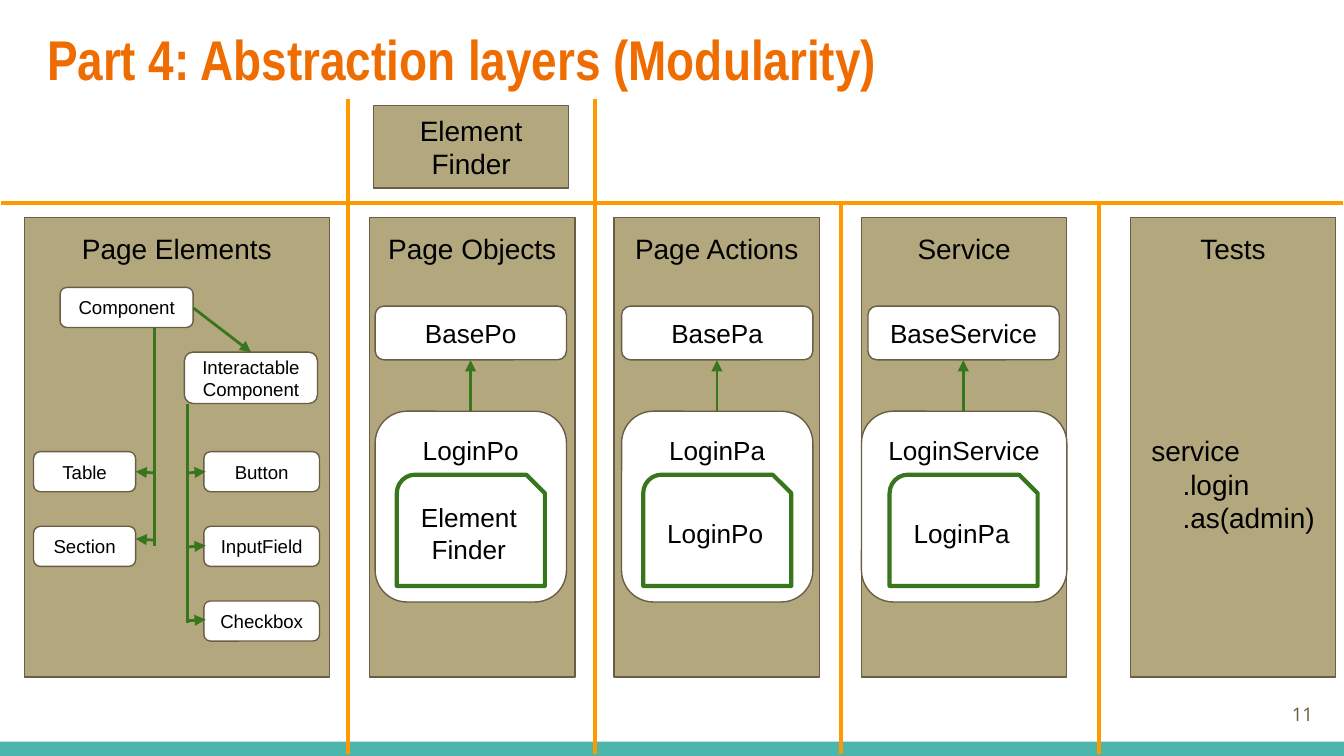
from pptx import Presentation
from pptx.dml.color import RGBColor
from pptx.enum import shapes, text
from pptx.oxml.ns import qn
from pptx.util import Pt
from lxml import etree

HUE = {"title": "EF6C00", "band": "4DB6AC", "panel": "B3A77D", "edge": "695D46",
       "box": "FFFFFF", "arrow": "38761D", "rule": "FF9900", "ink": "000000"}
KIND = shapes.MSO_SHAPE
ALIGN = text.PP_ALIGN
TOP, MID = text.MSO_ANCHOR.TOP, text.MSO_ANCHOR.MIDDLE

# Content: panels as (name, left, width)
TITLE = "Part 4: Abstraction layers (Modularity)"
PAGE = "11"
PANELS = [("Page Elements", 13, 163.5), ("Page Objects", 198, 110),
          ("Page Actions", 329, 110), ("Service", 461.5, 110), ("Tests", 605.5, 110)]
# Layers as (base class, login class, what it wraps, login left, login width)
LAYERS = [("BasePo", "LoginPo", "Element\vFinder", 201, 102.5),
          ("BasePa", "LoginPa", "LoginPo", 333, 102.5),
          ("BaseService", "LoginService", "LoginPa", 461.5, 110)]
PARENTS = [("Component", 32.2, 154, 71.3, 21.5),
           ("Interactable\vComponent", 98.8, 188.7, 71.3, 27.5)]
# Children as (names, left, width, stem x, arrow tip x, arrow step)
KIDS = [(["Table", "Section"], 18, 54.7, 82.6, 72.7, 36),
        (["Button", "InputField", "Checkbox"], 109.2, 62, 100.5, 110.2, 39.6)]
STEMS = [(82.6, 175, 292.3), (100.5, 216.7, 334)]
CODE = [("service", 4.2), (".login", 20.9), (".as(admin)", 20.9)]
RULES = [(0.5, 108.8, 719.5, 108.8), (186.5, 52.8, 186.5, 404), (318.6, 52.8, 318.6, 404),
         (450.7, 109.5, 450.7, 404), (588.6, 109.5, 588.6, 404)]

deck = Presentation()
deck.slide_width, deck.slide_height = Pt(720), Pt(405)
slide = deck.slides.add_slide(deck.slide_layouts[5])


def color(name):
    return RGBColor.from_string(HUE[name])


def style(par, size, face="Arial", hue="ink", bold=False, align=ALIGN.CENTER):
    par.alignment = align
    for run in par.runs:
        font = run.font
        font.size, font.name, font.bold = Pt(size), face, bold
        font.color.rgb = color(hue)


def write(shape, words, size, anchor=MID, **look):
    frame = shape.text_frame
    frame.word_wrap = True
    frame.auto_size = text.MSO_AUTO_SIZE.NONE
    frame.vertical_anchor = anchor
    frame.margin_left = frame.margin_right = Pt(7.2)
    frame.margin_top = frame.margin_bottom = Pt(7.2)
    frame.paragraphs[0].text = words
    style(frame.paragraphs[0], size, **look)


def box(kind, x, y, w, h, fill, edge=None, width=0.75):
    shape = slide.shapes.add_shape(kind, Pt(x), Pt(y), Pt(w), Pt(h))
    shape.shadow.inherit = False
    shape.fill.solid()
    shape.fill.fore_color.rgb = color(fill)
    if edge:
        shape.line.color.rgb = color(edge)
        shape.line.width = Pt(width)
    else:
        shape.line.fill.background()
    return shape


def card(words, x, y, w, h, size, anchor=MID):
    write(box(KIND.ROUNDED_RECTANGLE, x, y, w, h, "box", "edge"), words, size, anchor)


def line(x1, y1, x2, y2, hue="arrow", width=1.5, head=False):
    link = slide.shapes.add_connector(shapes.MSO_CONNECTOR.STRAIGHT,
                                      Pt(x1), Pt(y1), Pt(x2), Pt(y2))
    link.line.color.rgb = color(hue)
    link.line.width = Pt(width)
    if head:
        etree.SubElement(link.line._get_or_add_ln(), qn("a:tailEnd"), type="triangle")
    etree.SubElement(link._element.spPr, qn("a:effectLst"))


# Band, title and page number
box(KIND.RECTANGLE, 0, 397.4, 720, 7.6, "band")
title = slide.shapes.title
title.left, title.top, title.width, title.height = Pt(18), Pt(5.8), Pt(671), Pt(41)
write(title, TITLE, 30, TOP, face="Arial Narrow", hue="title", bold=True, align=ALIGN.LEFT)
page = slide.shapes.add_textbox(Pt(667.4), Pt(367.2), Pt(43.2), Pt(31))
write(page, PAGE, 10, face="Open Sans", hue="edge", align=ALIGN.RIGHT)

# Panels; the last one also holds the test code
for name, x, w in PANELS:
    panel = box(KIND.RECTANGLE, x, 116.6, w, 246.2, "panel", "edge")
    write(panel, name, 15, TOP)
for i, (words, indent) in enumerate(CODE):
    par = panel.text_frame.add_paragraph()
    par.text = words
    par._p.get_or_add_pPr().set("marL", str(Pt(indent)))
    par.space_before = Pt(0 if i else 90.5)
    style(par, 15, align=ALIGN.LEFT)
finder = box(KIND.RECTANGLE, 200.2, 56.4, 104.4, 44.4, "panel", "edge")
write(finder, "Element Finder", 15)

# Page element tree
for words, x, y, w, h in PARENTS:
    card(words, x, y, w, h, 10)
line(103.6, 165, 134.5, 188.7, head=True)
for x, y1, y2 in STEMS:
    line(x, y1, x, y2)
for names, x, w, stem, tip, step in KIDS:
    for i, name in enumerate(names):
        card(name, x, 242 + 40 * i, w, 21.5, 10)
        y = 253.4 + step * i
        line(stem, y, tip, y - 0.7, head=True)

# Base and login classes, one stack per layer
for i, (base, login, core, x, w) in enumerate(LAYERS):
    left = 201 + 132 * i
    card(base, left, 164, 102.5, 28.8, 14)
    card(login, x, 220.3, w, 102.2, 14, TOP)
    inner = box(KIND.SNIP_ROUND_RECTANGLE, left + 11.6, 254.3, 79.3, 59.6,
                "box", "arrow", 2.25)
    write(inner, core, 14)
    line(left + 51.1, 220.3, left + 51.1, 193, head=True)

# Dividing rules
for ends in RULES:
    line(*ends, hue="rule", width=2.25)

deck.save("out.pptx")
